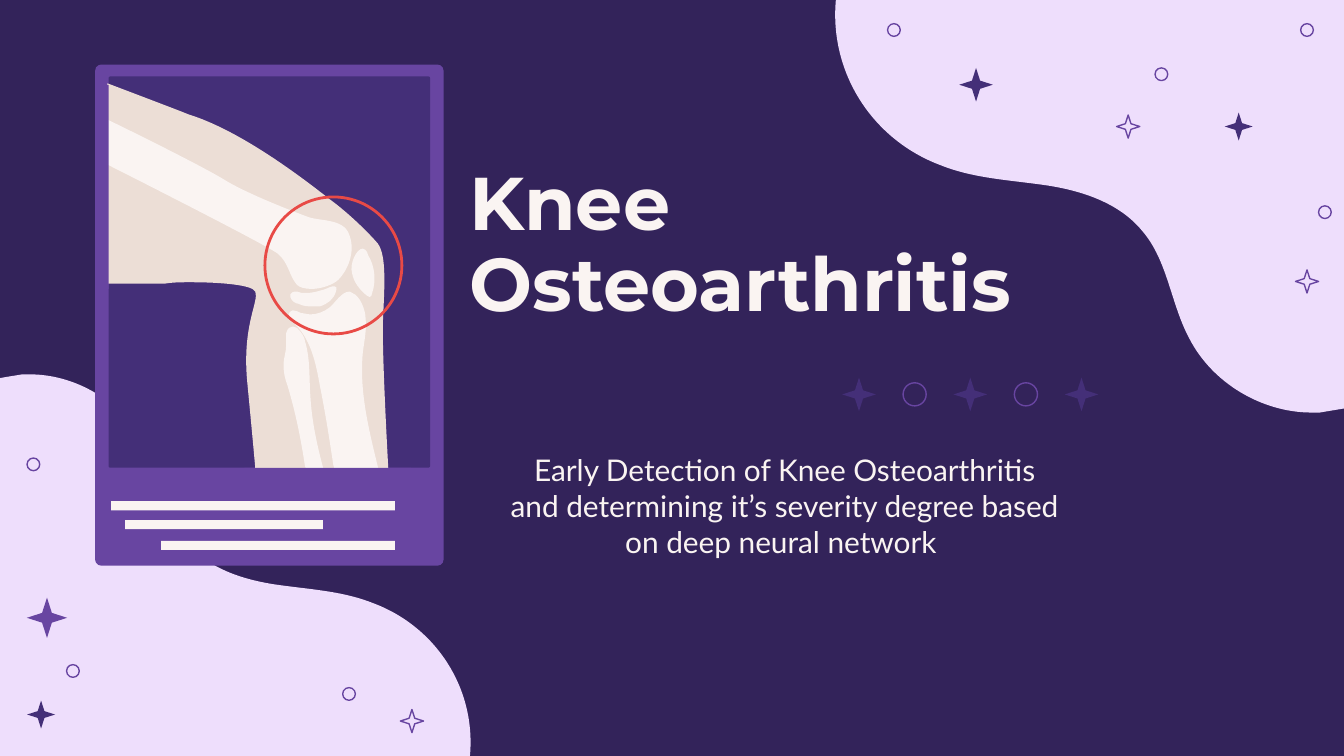
from lxml.etree import SubElement
from pptx import Presentation
from pptx.dml.color import RGBColor
from pptx.enum.shapes import MSO_SHAPE as SHAPE
from pptx.enum.text import MSO_ANCHOR as ANCHOR, MSO_AUTO_SIZE as AUTO_SIZE, PP_ALIGN as ALIGN
from pptx.oxml.ns import qn
from pptx.util import Pt

COLORS = {
    "night": "33235A", "lilac": "EEDEFC", "violet": "6845A1", "indigo": "442F78",
    "cream": "FAF4F2", "skin": "ECDED6", "red": "E84A46",
}
SLIDE_W, SLIDE_H = 720, 405
GRID = 0.72  # points per unit of the outlines below

# Each outline is a start point, then lines (x, y) and cubic curves (two handles, end).
BLOB = [
    (622, 0), (617, 54, 649, 104, 700, 123), (725, 133, 752, 134, 779, 138),
    (805, 142, 833, 151, 850, 172), (869, 194, 871, 226, 885, 252),
    (902, 285, 939, 307, 976, 307), (978, 307, 980, 307, 982, 307),
    (988, 306, 994, 305, 1000, 304), (1000, 0),
]
LEG = [
    (80, 62), (79, 69), (80, 211), (80, 211, 84, 211, 91, 211),
    (98, 211, 109, 211, 123, 211), (129, 210, 135, 210, 142, 210),
    (164, 210, 188, 212, 190, 217), (193, 224, 180, 242, 184, 284),
    (188, 326, 190, 348, 190, 349), (190, 350, 223, 350, 251, 350),
    (271, 350, 289, 350, 289, 350), (289, 350, 284, 261, 285, 238),
    (286, 215, 288, 190, 281, 181), (274, 173, 260, 159, 245, 148),
    (188, 103, 156, 90, 140, 85), (138, 84, 80, 62, 80, 62),
]
FEMUR = [
    (80, 89), (79, 122), (79, 122, 200, 183, 207, 189), (215, 196, 215, 205, 221, 212),
    (223, 214, 227, 215, 232, 215), (239, 215, 248, 212, 252, 208),
    (258, 202, 265, 188, 260, 175), (256, 162, 237, 165, 228, 161),
    (220, 158, 188, 146, 169, 135), (150, 123, 80, 89, 80, 89),
]
MENISCUS = [
    (248, 213), (246, 213, 241, 216, 239, 216), (236, 217, 232, 218, 228, 218),
    (225, 218, 223, 218, 221, 217), (221, 217, 220, 217, 219, 217),
    (218, 217, 217, 218, 216, 219), (216, 219, 216, 220, 216, 221),
    (217, 224, 220, 226, 222, 226), (226, 228, 229, 228, 233, 228),
    (235, 228, 236, 228, 238, 228), (244, 226, 248, 223, 250, 217),
    (251, 214, 250, 213, 249, 213), (249, 213, 249, 213, 248, 213),
]
TIBIA = [
    (260, 217), (254, 217, 249, 226, 245, 229), (241, 232, 236, 234, 231, 234),
    (229, 234, 226, 233, 224, 233), (222, 232, 220, 231, 218, 231),
    (218, 231, 217, 231, 216, 232), (216, 232, 215, 233, 215, 233),
    (214, 236, 216, 238, 218, 240), (231, 251, 235, 270, 238, 287),
    (242, 307, 245, 326, 248, 346), (249, 348, 249, 351, 251, 352),
    (252, 353, 253, 353, 254, 353), (255, 353, 255, 353, 255, 353),
    (264, 352, 273, 352, 282, 351), (275, 322, 267, 292, 270, 262),
    (271, 254, 273, 245, 272, 237), (272, 231, 268, 220, 262, 218),
    (261, 217, 260, 217, 260, 217),
]
PATELLA = [
    (270, 185), (265, 185, 260, 197, 262, 203), (263, 210, 268, 216, 273, 220),
    (274, 221, 274, 221, 275, 221), (275, 221, 275, 221, 275, 221),
    (276, 221, 277, 220, 277, 218), (280, 209, 279, 198, 274, 190),
    (273, 186, 271, 185, 270, 185), (270, 185, 270, 185, 270, 185),
]
FIBULA = [
    (218, 243), (216, 243, 214, 244, 213, 248), (213, 251, 213, 254, 213, 257),
    (213, 262, 211, 267, 211, 271), (211, 277, 212, 282, 214, 287),
    (220, 307, 224, 327, 227, 347), (227, 348, 228, 349, 229, 350),
    (229, 350, 230, 350, 230, 350), (231, 350, 231, 350, 231, 350),
    (234, 350, 238, 350, 241, 350), (236, 332, 232, 313, 231, 295),
    (230, 281, 231, 267, 227, 254), (227, 251, 224, 247, 221, 244),
    (220, 243, 219, 243, 218, 243),
]


def rgb(name):
    return RGBColor.from_string(COLORS[name])


def paint(shape, fill=None, line=None, weight=0.75):
    shape.shadow.inherit = False
    if fill:
        shape.fill.solid()
        shape.fill.fore_color.rgb = rgb(fill)
    else:
        shape.fill.background()
    if line:
        shape.line.color.rgb = rgb(line)
        shape.line.width = Pt(weight)
    else:
        shape.line.fill.background()


def add_preset(shapes, kind, left, top, width, height, adjust=None, **style):
    shape = shapes.add_shape(kind, Pt(left), Pt(top), Pt(width), Pt(height))
    if adjust is not None:
        shape.adjustments[0] = adjust
    paint(shape, **style)


def add_star(shapes, x, y, size, **style):
    """Sparkle centred on (x, y)."""
    add_preset(shapes, SHAPE.STAR_4_POINT, x - size / 2, y - size / 2, size, size, 0.172, **style)


def add_ring(shapes, x, y, size, color="violet", weight=0.75):
    """Unfilled circle centred on (x, y)."""
    add_preset(shapes, SHAPE.OVAL, x - size / 2, y - size / 2, size, size,
               line=color, weight=weight)


def bend(shape, outline):
    """Join the three straight steps of every curve into one cubic curve."""
    steps = iter(shape.element.xpath(".//a:lnTo"))
    for segment in outline[1:]:
        first = next(steps)
        if len(segment) == 6:
            first.tag = qn("a:cubicBezTo")
            for step in (next(steps), next(steps)):
                point = step[0]
                SubElement(first, qn("a:pt"), x=point.get("x"), y=point.get("y"))
                step.getparent().remove(step)


def add_outline(shapes, outline, fill, place=lambda x, y: (x, y)):
    """Draw an outline; place maps its points, in Pt, onto the slide."""
    points = [tuple(Pt(v) for v in place(segment[i] * GRID, segment[i + 1] * GRID))
              for segment in outline for i in range(0, len(segment), 2)]
    builder = shapes.build_freeform(*points[0])
    builder.add_line_segments(points[1:], close=True)
    shape = builder.convert_to_shape()
    bend(shape, outline)
    paint(shape, fill=fill)


def add_background(shapes):
    def opposite_corner(x, y, scale=0.925):
        return (SLIDE_W - x) * scale, SLIDE_H - y * scale

    add_outline(shapes, BLOB, "lilac", opposite_corner)
    add_outline(shapes, BLOB, "lilac")
    for x, y in [(17.9, 248.8), (39.1, 359.5), (187, 371.8), (478.9, 16.1),
                 (700.2, 16.1), (622.2, 39.8), (709.8, 113.7)]:
        add_ring(shapes, x, y, 6.8)
    for x, y in [(220.7, 386.3), (604.4, 67.8), (700.2, 150.8)]:
        add_star(shapes, x, y, 12.4, line="violet")
    for x, y, size, fill in [(25.2, 331, 21.6, "violet"), (22, 382.8, 15, "indigo"),
                             (522.9, 45.4, 18, "indigo"), (663.6, 67.8, 15, "indigo")]:
        add_star(shapes, x, y, size, fill=fill)


def add_knee_scan(shapes):
    scan = shapes.add_group_shape().shapes
    add_preset(scan, SHAPE.ROUNDED_RECTANGLE, 51, 34.6, 186.6, 268.4, 0.017, fill="violet")
    add_preset(scan, SHAPE.ROUNDED_RECTANGLE, 58.2, 41, 172.2, 209.6, 0.005, fill="indigo")
    for left, top, width in [(59.6, 268.5, 152), (67, 278.6, 106), (86.3, 289.7, 125.3)]:
        add_preset(scan, SHAPE.RECTANGLE, left, top, width, 4.9, fill="cream")
    add_outline(scan, LEG, "skin")
    for bone in (FEMUR, MENISCUS, TIBIA, PATELLA, FIBULA):
        add_outline(scan, bone, "cream")
    # Trim the leg to the edges of the screen.
    add_preset(scan, SHAPE.RECTANGLE, 52.4, 45.4, 5.8, 109.4, fill="violet")
    add_preset(scan, SHAPE.RECTANGLE, 131, 250.6, 89.3, 7.9, fill="violet")
    add_ring(scan, 178.6, 142.2, 73.4, "red", 1.5)


def add_divider(shapes):
    for i in range(5):
        x = 460.2 + i * 29.8
        if i % 2:
            add_ring(shapes, x, 211.3, 12.4)
        else:
            add_star(shapes, x, 211.3, 18, fill="indigo")


def set_text(box, bounds, text, font_name, size, align, bold=False, spacing=None):
    box.left, box.top, box.width, box.height = (Pt(v) for v in bounds)
    frame = box.text_frame
    frame.text = text
    frame.word_wrap = True
    frame.auto_size = AUTO_SIZE.NONE
    frame.vertical_anchor = ANCHOR.MIDDLE
    frame.margin_left = frame.margin_right = frame.margin_top = frame.margin_bottom = Pt(7.2)
    paragraph = frame.paragraphs[0]
    paragraph.alignment = align
    paragraph.line_spacing = spacing
    font = paragraph.runs[0].font
    font.name, font.size, font.bold = font_name, Pt(size), bold
    font.color.rgb = rgb("cream")


def main():
    deck = Presentation()
    deck.slide_width, deck.slide_height = Pt(SLIDE_W), Pt(SLIDE_H)
    slide = deck.slides.add_slide(deck.slide_layouts[5])
    slide.background.fill.solid()
    slide.background.fill.fore_color.rgb = rgb("night")
    shapes = slide.shapes
    add_background(shapes)
    set_text(shapes.title, (244.5, 50.7, 319, 162.7), "Knee Osteoarthritis",
             "Montserrat", 40, ALIGN.LEFT, bold=True, spacing=0.9)
    add_knee_scan(shapes)
    add_divider(shapes)
    subtitle = shapes.add_textbox(0, 0, 0, 0)
    set_text(subtitle, (265.7, 234.7, 309.6, 72),
             "Early Detection of Knee Osteoarthritis and determining it’s severity degree "
             "based on deep neural network ", "Lato", 16, ALIGN.CENTER)
    deck.save("out.pptx")


if __name__ == "__main__":
    main()
